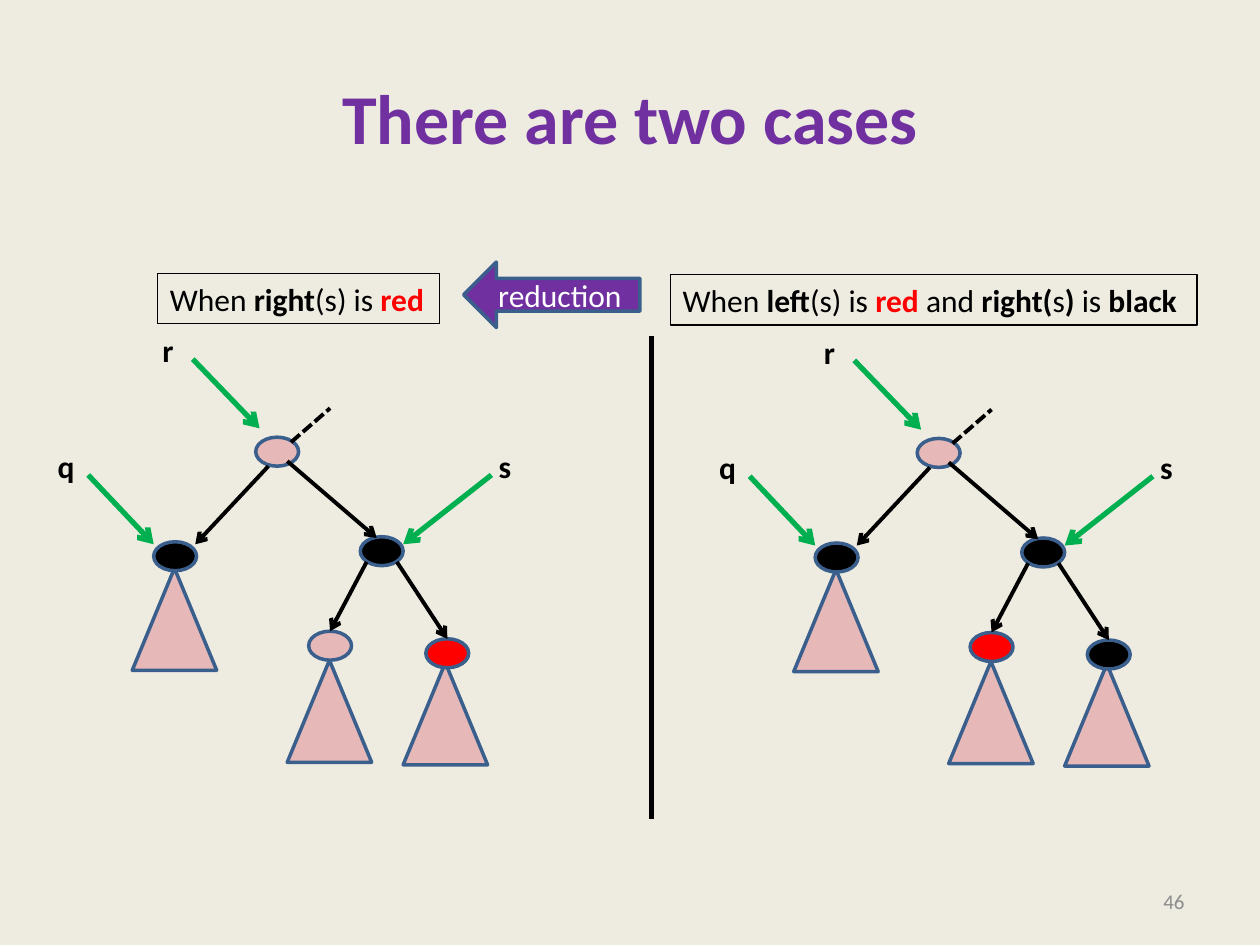
from dataclasses import dataclass

from lxml.etree import SubElement
from pptx import Presentation
from pptx.dml.color import RGBColor as RGB
from pptx.enum.dml import MSO_LINE as Dash
from pptx.enum.shapes import MSO_CONNECTOR as Conn, MSO_SHAPE as Kind
from pptx.enum.text import MSO_ANCHOR as Anchor, MSO_AUTO_SIZE as Fit, PP_ALIGN as Align
from pptx.oxml.ns import qn
from pptx.util import Inches, Pt


@dataclass(frozen=True)
class Theme:
    font: str = "Calibri"
    back: str = "EEECE1"
    accent: str = "7030A0"
    pink: str = "E6B9B8"
    red: str = "FF0000"
    black: str = "000000"
    white: str = "FFFFFF"
    green: str = "00B050"
    edge: str = "3A5F8C"
    gray: str = "8C8C8C"
    title: int = 40
    body: int = 18
    small: int = 12


T = Theme()
NODE = (0.34, 0.23)
CONE = (0.67, 0.81)


def rgb(code):
    return RGB.from_string(code)


def style(font, color, size=T.body, bold=None):
    font.name, font.size, font.bold = T.font, Pt(size), bold
    font.color.rgb = rgb(color)


def shape(parts, kind, x, y, size, fill):
    item = parts.add_shape(kind, Inches(x), Inches(y), *map(Inches, size))
    item.shadow.inherit = False
    item.fill.solid()
    item.fill.fore_color.rgb = rgb(fill)
    item.line.color.rgb = rgb(T.edge)
    item.line.width = Pt(2)
    return item


def line(parts, ends, color=T.black, width=2.25, head=True, dash=None):
    item = parts.add_connector(Conn.STRAIGHT, *map(Inches, ends))
    item.line.color.rgb = rgb(color)
    item.line.width = Pt(width)
    if dash:
        item.line.dash_style = dash
    if head:
        SubElement(item.line._get_or_add_ln(), qn("a:tailEnd"), type="arrow")
    SubElement(item._element.spPr, qn("a:effectLst"))


def label(parts, x, y, width, runs):
    """Place one line of text; runs are (text, color, bold)."""
    box = parts.add_textbox(Inches(x), Inches(y), Inches(width), Inches(0.4))
    frame = box.text_frame
    frame.word_wrap = False
    frame.auto_size = Fit.SHAPE_TO_FIT_TEXT
    for text, color, bold in runs:
        run = frame.paragraphs[0].add_run()
        run.text = text
        style(run.font, color, bold=bold)
    return box


def caption(parts, x, y, width, runs):
    box = label(parts, x, y, width, runs)
    box.line.color.rgb = rgb(T.black)
    box.line.width = Pt(0.75)


def tree(parts, x, y, left, right):
    """Draw a tree from its top left corner; left and right color s's children."""
    def shift(ends):
        return [a + b for a, b in zip(ends, (x, y, x, y))]

    # Subtrees of q and of the two children of s
    for dx, dy in ((0.69, 1.93), (1.92, 2.66), (2.84, 2.68)):
        shape(parts, Kind.ISOSCELES_TRIANGLE, x + dx, y + dy, CONE, T.pink)
    # Nodes
    for dx, dy, fill in ((1.67, 0.89, T.pink), (0.86, 1.72, T.black),
                         (2.5, 1.68, T.black), (2.09, 2.43, left),
                         (3.02, 2.49, right)):
        shape(parts, Kind.OVAL, x + dx, y + dy, NODE, fill)
    # Edges, with a dashed one to the parent
    for ends in ((1.77, 1.12, 1.19, 1.74), (1.92, 1.08, 2.63, 1.69),
                 (2.55, 1.88, 2.26, 2.43), (2.79, 1.88, 3.19, 2.49)):
        line(parts, shift(ends))
    line(parts, shift((1.95, 0.93, 2.26, 0.66)), head=False, dash=Dash.SQUARE_DOT)
    # Named pointers
    for name, dx, dy, width, ends in (
            ("r", 0.83, 0, 0.29, (1.17, 0.27, 1.7, 0.82)),
            ("q", 0, 0.92, 0.34, (0.34, 1.19, 0.86, 1.74)),
            ("s", 3.5, 0.92, 0.3, (3.54, 1.19, 2.84, 1.74))):
        line(parts, shift(ends), T.green, 3)
        label(parts, x + dx, y + dy, width, [(name, T.black, True)])


def header(slide):
    title = slide.shapes.title
    title.left, title.top, title.width, title.height = map(Inches, (0.5, 0.3, 9, 1.25))
    title.text_frame.text = "There are two cases"
    title.text_frame.vertical_anchor = Anchor.MIDDLE
    para = title.text_frame.paragraphs[0]
    para.alignment = Align.CENTER
    style(para.font, T.accent, T.title, True)


def footer(slide, x, y):
    box = slide.shapes.add_textbox(Inches(x), Inches(y), Inches(2.33), Inches(0.4))
    box.text_frame.text = "46"
    box.text_frame.vertical_anchor = Anchor.MIDDLE
    para = box.text_frame.paragraphs[0]
    para.alignment = Align.RIGHT
    style(para.font, T.gray, T.small)


def arrow(slide, x, y):
    item = shape(slide.shapes, Kind.RIGHT_ARROW, x, y, (1.4, 0.52), T.accent)
    item._element.spPr.xfrm.set("flipH", "1")
    frame = item.text_frame
    frame.text = "reduction"
    frame.vertical_anchor = Anchor.MIDDLE
    frame.paragraphs[0].alignment = Align.CENTER
    style(frame.paragraphs[0].font, T.white)


def main():
    deck = Presentation()
    deck.slide_width, deck.slide_height = Inches(10), Inches(7.5)
    slide = deck.slides.add_slide(deck.slide_layouts[5])
    slide.background.fill.solid()
    slide.background.fill.fore_color.rgb = rgb(T.back)
    header(slide)
    footer(slide, 7.17, 6.95)
    arrow(slide, 3.68, 2.08)

    # Right case, with the divider
    parts = slide.shapes.add_group_shape().shapes
    tree(parts, 5.61, 2.59, T.red, T.black)
    caption(parts, 5.32, 2.18, 4.18, [
        ("When ", T.black, False), ("left", T.black, True),
        ("(s) is ", T.black, False), ("red ", T.red, True),
        ("and ", T.black, False), ("right(", T.black, True),
        ("s", T.black, False), (") ", T.black, True),
        ("is", T.black, False), (" black", T.black, True)])
    line(parts, (5.17, 2.67, 5.17, 6.5), width=3, head=False)

    # Left case
    parts = slide.shapes.add_group_shape().shapes
    tree(parts, 0.36, 2.58, T.pink, T.red)
    caption(parts, 1.25, 2.17, 2.24, [
        ("When ", T.black, False), ("right", T.black, True),
        ("(s) is ", T.black, False), ("red", T.red, True)])

    deck.save("out.pptx")


if __name__ == "__main__":
    main()
